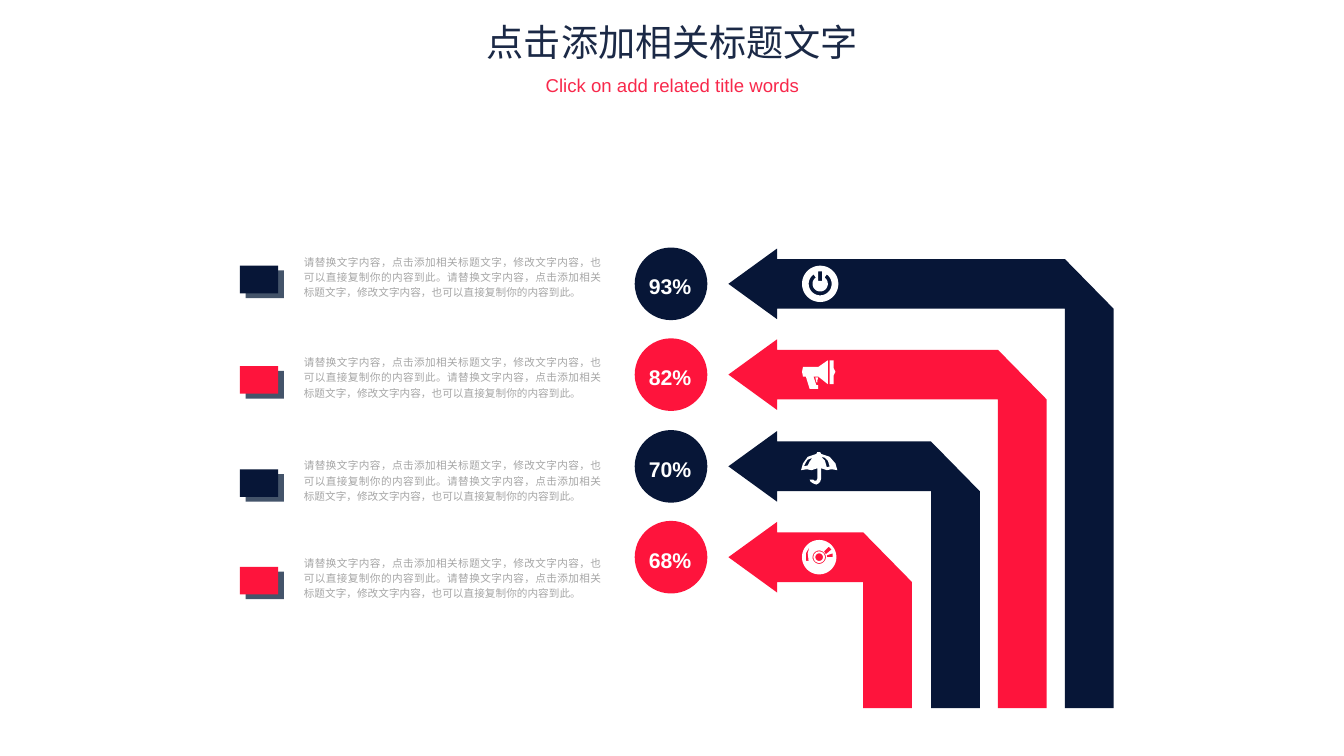
from dataclasses import dataclass
from math import cos, radians, sin
from typing import Any

from lxml import etree
from pptx import Presentation
from pptx import util as u
from pptx.dml import color
from pptx.enum import shapes, text
from pptx.oxml import ns

Point = tuple[float, float]
Path = list[Point]

HUES = {"navy": "071637", "red": "FE143C", "slate": "44546A", "white": "FFFFFF",
        "gray": "A6A6A6", "title": "1B2946", "sub": "F8284B"}
CJK = "Noto Sans CJK SC"
NOTE = ("请替换文字内容，点击添加相关标题文字，修改文字内容，也可以直接复制你的内容到此。"
        "请替换文字内容，点击添加相关标题文字，修改文字内容，也可以直接复制你的内容到此。")
GROW = text.MSO_AUTO_SIZE.SHAPE_TO_FIT_TEXT
FIXED = text.MSO_AUTO_SIZE.NONE
TOP = text.MSO_ANCHOR.TOP
MID = text.PP_ALIGN.CENTER
FULL = text.PP_ALIGN.JUSTIFY


@dataclass
class Style:
    """Format values for the frame, paragraph and font of one kind of text."""
    frame: dict[str, Any]
    para: dict[str, Any]
    font: dict[str, Any]
    hue: str


@dataclass
class Row:
    """One percentage with its arrow, icon and note."""
    rate: str
    hue: str
    mid: float
    right: float
    note: float
    icon: list[Path]


HEAD = Style({"word_wrap": True, "auto_size": FIXED, "vertical_anchor": TOP},
             {"alignment": MID, "line_spacing": 0.9},
             {"size": u.Pt(28), "name": CJK, "bold": False}, "title")
SUB = Style(HEAD.frame, HEAD.para, {"size": u.Pt(14), "name": "Arial"}, "sub")
RATE = Style({"word_wrap": False, "auto_size": GROW},
             {"alignment": FULL, "line_spacing": 1.2},
             {"size": u.Pt(16), "name": "Arial", "bold": True}, "white")
BODY = Style({"word_wrap": True, "auto_size": GROW}, RATE.para,
             {"size": u.Pt(8), "name": "Arial"}, "gray")


def arc(x: float, r: float, start: int = 0, end: int = 360) -> Path:
    """Return points along an arc centred on the row's middle line."""
    step = 6 if end > start else -6
    turns = [radians(a) for a in [*range(start, end, step), end]]
    return [(x + r * cos(a), r * sin(a)) for a in turns]


POWER = [
    arc(0, 0.19),
    [(-0.02, -0.13), (-0.02, -0.03), (0.02, -0.03), (0.02, -0.13)],
    arc(0, 0.12, -55, 235) + arc(0, 0.08, 235, -55),
]
HORN = [
    [(-0.18, -0.08), (-0.02, -0.08), (0.08, -0.15), (0.08, 0.1), (-0.02, 0.02),
     (-0.07, 0.02), (-0.04, 0.11), (-0.02, 0.11), (-0.02, 0.15), (-0.11, 0.15),
     (-0.15, 0.02), (-0.18, 0.02), (-0.19, -0.03)],
    [(0.14, -0.07), (0.16, -0.03), (0.14, 0.01), (0.14, 0.1), (0.1, 0.1),
     (0.1, -0.15), (0.14, -0.15)],
    [(-0.02, 0.03), (-0.05, 0.03), (-0.04, 0.08), (-0.03, 0.08), (-0.03, 0.06)],
]
SHADE = [
    [(-0.2, 0.04), (-0.18, -0.03), (-0.13, -0.1), (-0.04, -0.13), (-0.03, -0.15),
     (0, -0.15), (0.01, -0.13), (0.1, -0.1), (0.16, -0.03), (0.18, 0.04),
     (0.12, 0.03), (0.07, 0.04), (0.04, 0.03), (0.01, 0.02), (0.01, 0.13),
     (0, 0.16), (-0.02, 0.18), (-0.04, 0.19), (-0.07, 0.18), (-0.1, 0.16),
     (-0.11, 0.14), (-0.07, 0.14), (-0.06, 0.15), (-0.04, 0.15), (-0.03, 0.13),
     (-0.03, 0.02), (-0.06, 0.03), (-0.09, 0.04), (-0.14, 0.03)],
    [(0.07, 0.01), (0.1, 0), (0.08, -0.06), (0.05, -0.09), (0.01, -0.1),
     (0.05, -0.06)],
    [(-0.17, 0), (-0.13, -0.01), (-0.11, -0.05), (-0.08, -0.09), (-0.13, -0.07),
     (-0.15, -0.04)],
]
DISC = [
    arc(-0.01, 0.18), arc(-0.01, 0.07), arc(-0.01, 0.06), arc(-0.01, 0.04),
    [(-0.11, -0.11), (-0.15, -0.04), (-0.15, 0.04), (-0.12, 0.04), (-0.13, -0.04)],
    [(0.04, -0.06), (0.09, -0.11), (0.12, -0.08), (0.06, -0.03)],
    [(0.07, -0.02), (0.13, -0.04), (0.13, 0), (0.07, 0)],
]
ROWS = [
    Row("93%", "navy", 2.97, 11.65, 2.6, POWER),
    Row("82%", "red", 3.92, 10.95, 3.65, HORN),
    Row("70%", "navy", 4.88, 10.25, 4.73, SHADE),
    Row("68%", "red", 5.83, 9.54, 5.75, DISC),
]


def tint(name: str) -> color.RGBColor:
    """Return the named colour."""
    return color.RGBColor.from_string(HUES[name])


def apply(item: Any, values: dict[str, Any]) -> None:
    """Set every format value on the item."""
    for key, value in values.items():
        setattr(item, key, value)


def paint(shape: Any, hue: str) -> None:
    """Fill a shape with no outline or shadow."""
    shape.shadow.inherit = False
    shape.fill.solid()
    shape.fill.fore_color.rgb = tint(hue)
    shape.line.fill.background()


def block(slide: Any, kind: Any, x: float, y: float, w: float, h: float, hue: str) -> None:
    """Add a filled preset shape."""
    box = [u.Inches(n) for n in (x, y, w, h)]
    paint(slide.shapes.add_shape(kind, *box), hue)


def trace(slide: Any, paths: list[Path], x: float, y: float, hue: str) -> None:
    """Add one filled outline made of closed paths around a point."""
    spots = [[(u.Inches(x + a), u.Inches(y + b)) for a, b in path] for path in paths]
    pen = slide.shapes.build_freeform(*spots[0][0], scale=1.0)
    for index, path in enumerate(spots):
        if index:
            pen.move_to(*path[0])
        pen.add_line_segments(path[1:], close=True)
    paint(pen.convert_to_shape(), hue)


def write(shape: Any, words: str, style: Style) -> None:
    """Write styled words into a shape."""
    frame = shape.text_frame
    apply(frame, style.frame)
    para = frame.paragraphs[0]
    apply(para, style.para)
    run = para.add_run()
    run.text = words
    apply(run.font, style.font)
    run.font.color.rgb = tint(style.hue)
    props = run._r.get_or_add_rPr()
    etree.SubElement(props, ns.qn("a:ea"), typeface=CJK)


def label(slide: Any, x: float, y: float, w: float, h: float, words: str, style: Style) -> None:
    """Add a text box."""
    box = [u.Inches(n) for n in (x, y, w, h)]
    write(slide.shapes.add_textbox(*box), words, style)


def head(shape: Any, x: float, y: float, w: float, h: float, words: str, style: Style) -> None:
    """Move a placeholder and write its words."""
    place = {"left": x, "top": y, "width": w, "height": h}
    apply(shape, {key: u.Inches(n) for key, n in place.items()})
    write(shape, words, style)


def arrow(row: Row) -> Path:
    """Return the outline of a bent arrow, measured from its tip."""
    tip, neck, wide = 7.62, 0.51, 0.26
    end = row.right - tip
    base = 7.41 - row.mid
    bend = end - neck
    return [(0, 0), (neck, -0.37), (neck, -wide), (bend, -wide), (end, wide),
            (end, base), (bend, base), (bend, wide), (neck, wide), (neck, 0.37)]


def draw(slide: Any, row: Row) -> None:
    """Draw one row from note to arrow."""
    rect, oval = shapes.MSO_SHAPE.RECTANGLE, shapes.MSO_SHAPE.OVAL
    block(slide, oval, 6.64, row.mid - 0.38, 0.76, 0.76, row.hue)
    label(slide, 6.69, row.mid - 0.21, 0.65, 0.42, row.rate, RATE)
    trace(slide, [arrow(row)], 7.62, row.mid, row.hue)
    trace(slide, row.icon, 8.58, row.mid, "white")
    block(slide, rect, 2.57, row.note + 0.23, 0.4, 0.29, "slate")
    block(slide, rect, 2.51, row.note + 0.18, 0.4, 0.29, row.hue)
    label(slide, 3.08, row.note, 3.31, 0.59, NOTE, BODY)


def main() -> None:
    """Build and save the slide."""
    deck = Presentation()
    deck.slide_width, deck.slide_height = u.Inches(14.06), u.Inches(7.91)
    slide = deck.slides.add_slide(deck.slide_layouts[0])
    title, sub = slide.placeholders
    head(title, 4.91, 0.2, 4.25, 0.8, "点击添加相关标题文字", HEAD)
    head(sub, 5.54, 0.75, 2.99, 0.43, "Click on add related title words", SUB)
    for row in ROWS:
        draw(slide, row)
    deck.save("out.pptx")


if __name__ == "__main__":
    main()
